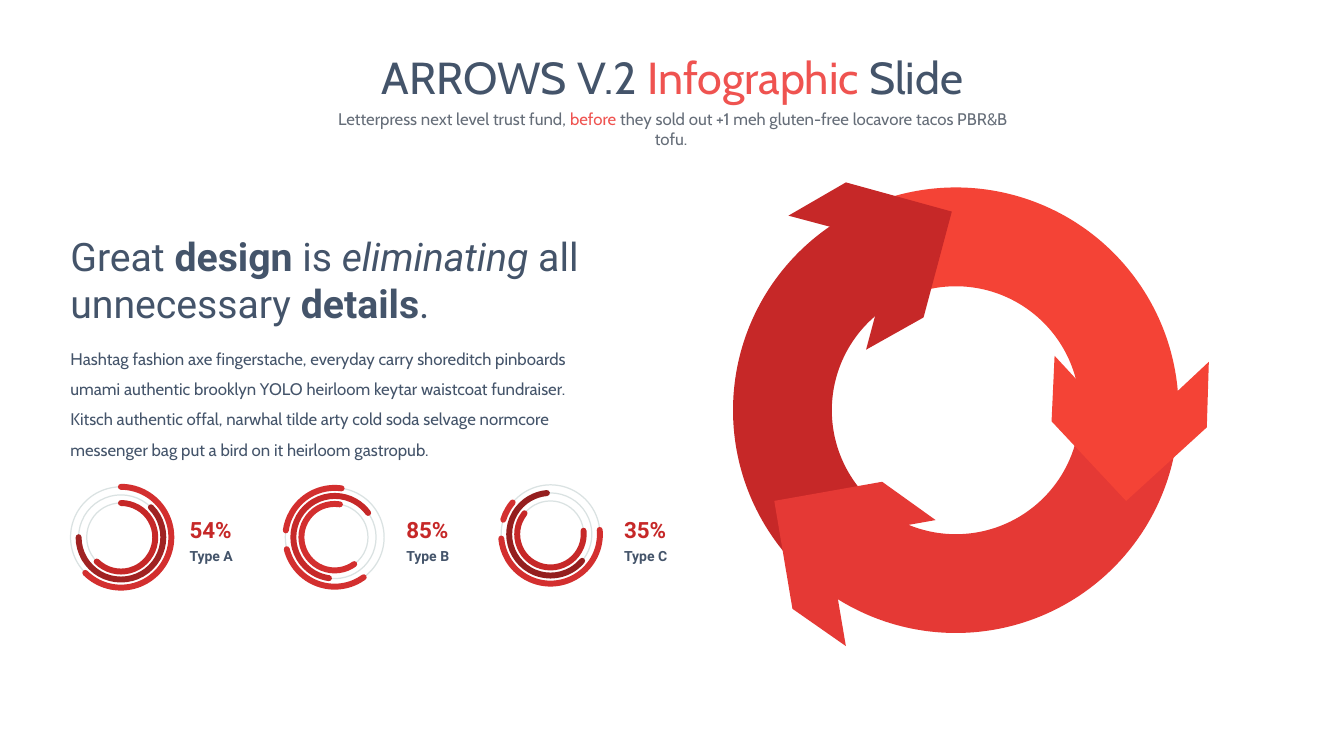
from pptx import Presentation
from pptx import util as u
from pptx.dml.color import RGBColor
from pptx.enum import shapes, text
from pptx.oxml import ns

COLORS = {
    "slate": "44546A", "gray": "656D78", "coral": "EF5350", "track": "DAE2E2",
    "dark": "C62828", "mid": "E53935", "light": "F44336",
    "red": "D32F2F", "maroon": "A02222", "wine": "941E1E",
}


class SlideBuilder:
    def __init__(self, page):
        self.page = page

    def color(self, name):
        return RGBColor.from_string(COLORS[name])

    def fill_text(self, box, spans, size, font, color="slate",
                  align=text.PP_ALIGN.LEFT, spacing=1.0, margins=(0.1, 0.05)):
        """Each span is a tuple: text, then a dict of what differs."""
        frame = box.text_frame
        frame.word_wrap = True
        frame.auto_size = text.MSO_AUTO_SIZE.NONE
        frame.vertical_anchor = text.MSO_ANCHOR.TOP
        frame.margin_left = frame.margin_right = u.Inches(margins[0])
        frame.margin_top = frame.margin_bottom = u.Inches(margins[1])
        para = frame.paragraphs[0]
        para.alignment = align
        para.line_spacing = spacing
        for words, style in spans:
            span = para.add_run()
            span.text = words
            span.font.name = font
            span.font.size = u.Pt(size)
            span.font.bold = style.get("bold", False)
            span.font.italic = style.get("italic", False)
            span.font.color.rgb = self.color(style.get("color", color))

    def title(self, at, spans, size, font):
        box = self.page.shapes.title
        box.left, box.top, box.width, box.height = map(u.Inches, at)
        self.fill_text(box, spans, size, font, align=text.PP_ALIGN.CENTER)

    def text_box(self, at, spans, size, font, **style):
        box = self.page.shapes.add_textbox(*map(u.Inches, at))
        self.fill_text(box, spans, size, font, **style)

    def round_shape(self, kind, center, radius, start=None, end=None):
        """A preset in a square; angles in degrees clockwise from the right."""
        shape = self.page.shapes.add_shape(
            kind, u.Inches(center[0] - radius), u.Inches(center[1] - radius),
            u.Inches(2 * radius), u.Inches(2 * radius))
        shape.shadow.inherit = False
        if start is not None:
            # Angles are stored in 60000ths of a degree, adjustments in 100000ths
            shape.adjustments[0] = start % 360 * 0.6
            shape.adjustments[1] = end % 360 * 0.6
        return shape

    def paint(self, shape, color):
        shape.fill.solid()
        shape.fill.fore_color.rgb = self.color(color)
        shape.line.fill.background()

    def stroke(self, shape, color, width):
        shape.fill.background()
        shape.line.color.rgb = self.color(color)
        shape.line.width = u.Pt(width)

    def polygon(self, points, color):
        corners = [(u.Inches(x), u.Inches(y)) for x, y in points]
        builder = self.page.shapes.build_freeform(*corners[0])
        builder.add_line_segments(corners[1:])
        shape = builder.convert_to_shape()
        shape.shadow.inherit = False
        self.paint(shape, color)

    def circle(self, center, radius, color):
        self.stroke(self.round_shape(shapes.MSO_SHAPE.OVAL, center, radius), color, 0.88)

    def arc(self, center, radius, start, end, color):
        shape = self.round_shape(shapes.MSO_SHAPE.ARC, center, radius, start, end)
        self.stroke(shape, color, 4.25)
        shape.element.spPr.find(ns.qn("a:ln")).set("cap", "rnd")

    def ring_sector(self, center, inner, outer, start, end, color):
        shape = self.round_shape(shapes.MSO_SHAPE.BLOCK_ARC, center, outer, start, end)
        shape.adjustments[2] = (outer - inner) / (2 * outer)
        self.paint(shape, color)


def main():
    deck = Presentation()
    deck.slide_width, deck.slide_height = u.Inches(13.33), u.Inches(7.5)
    page = deck.slides.add_slide(deck.slide_layouts[5])
    build = SlideBuilder(page)

    # Title and subtitle
    build.title((2.54, 0.44, 8.26, 0.64),
                [("ARROWS V.2 ", {}), ("Infographic ", {"color": "coral"}), ("Slide", {})],
                32, "Cabin")
    build.text_box((3.2, 1.03, 6.95, 0.3),
                   [("Letterpress next level trust fund, ", {}), ("before", {"color": "coral"}),
                    (" they sold out +1 meh gluten-free locavore tacos PBR&B tofu. ", {})],
                   12, "Cabin", color="gray", align=text.PP_ALIGN.CENTER)

    # Circular arrows: ring sectors, then their heads over the joints
    cycle_center = (9.48, 4.07)
    for color, start, end in [("dark", 135, 252), ("mid", 12, 135), ("light", 252, 12)]:
        build.ring_sector(cycle_center, 1.23, 2.21, start, end, color)
    heads = [
        ("dark", [(8.59, 3.47), (8.87, 2.42), (7.82, 2.14), (8.39, 1.81), (9.44, 2.1), (9.16, 3.15)]),
        ("light", [(10.46, 3.53), (11.2, 4.33), (11.99, 3.59), (11.97, 4.24), (11.17, 4.97), (10.43, 4.18)]),
        ("mid", [(9.28, 5.16), (8.21, 5.35), (8.39, 6.41), (7.86, 6.04), (7.68, 4.97), (8.75, 4.78)]),
    ]
    for color, points in heads:
        build.polygon(points, color)

    # Heading and body
    build.text_box((0.6, 2.26, 5.46, 1.04),
                   [("Great ", {}), ("design", {"bold": True}), (" is ", {}),
                    ("eliminating", {"italic": True}), (" all unnecessary ", {}),
                    ("details", {"bold": True}), (".", {})],
                   28, "Roboto")
    body = ("Hashtag fashion axe fingerstache, everyday carry shoreditch pinboards "
            "umami authentic brooklyn YOLO heirloom keytar waistcoat fundraiser. "
            "Kitsch authentic offal, narwhal tilde arty cold soda selvage normcore "
            "messenger bag put a bird on it heirloom gastropub.")
    build.text_box((0.6, 3.31, 5.32, 1.31), [(body, {})], 12, "Cabin", spacing=1.5)

    # Gauges: center, outer radius, label left, texts, arcs as (ring, start, end, color)
    outer, middle, inner = range(3)
    gauges = [
        ((1.2, 5.33), 0.5, 1.88, "54%", "Type A",
         [(outer, 270, 135, "red"), (middle, 315, 180, "maroon"), (inner, 270, 135, "dark")]),
        ((5.46, 5.3), 0.49, 6.19, "35%", "Type C",
         [(outer, 197, 220, "red"), (outer, 355, 175, "red"),
          (middle, 40, 265, "wine"), (inner, 354, 219, "dark")]),
        ((3.32, 5.33), 0.49, 4.03, "85%", "Type B",
         [(outer, 188, 278, "red"), (outer, 54, 166, "red"),
          (middle, 98, 324, "dark"), (inner, 54, 279, "red")]),
    ]
    for center, outer_radius, label_left, share, kind, arcs in gauges:
        radii = [outer_radius - step * 0.08 for step in range(3)]
        for radius in radii:
            build.circle(center, radius, "track")
        for ring, start, end, color in arcs:
            build.arc(center, radii[ring], start, end, color)
        for words, top, height, size, color in [(share, 5.15, 0.29, 16, "dark"),
                                                (kind, 5.45, 0.23, 10, "slate")]:
            build.text_box((label_left, top, 0.49, height), [(words, {"bold": True})],
                           size, "Roboto", color=color, spacing=0.9, margins=(0, 0))

    deck.save("out.pptx")


if __name__ == "__main__":
    main()
